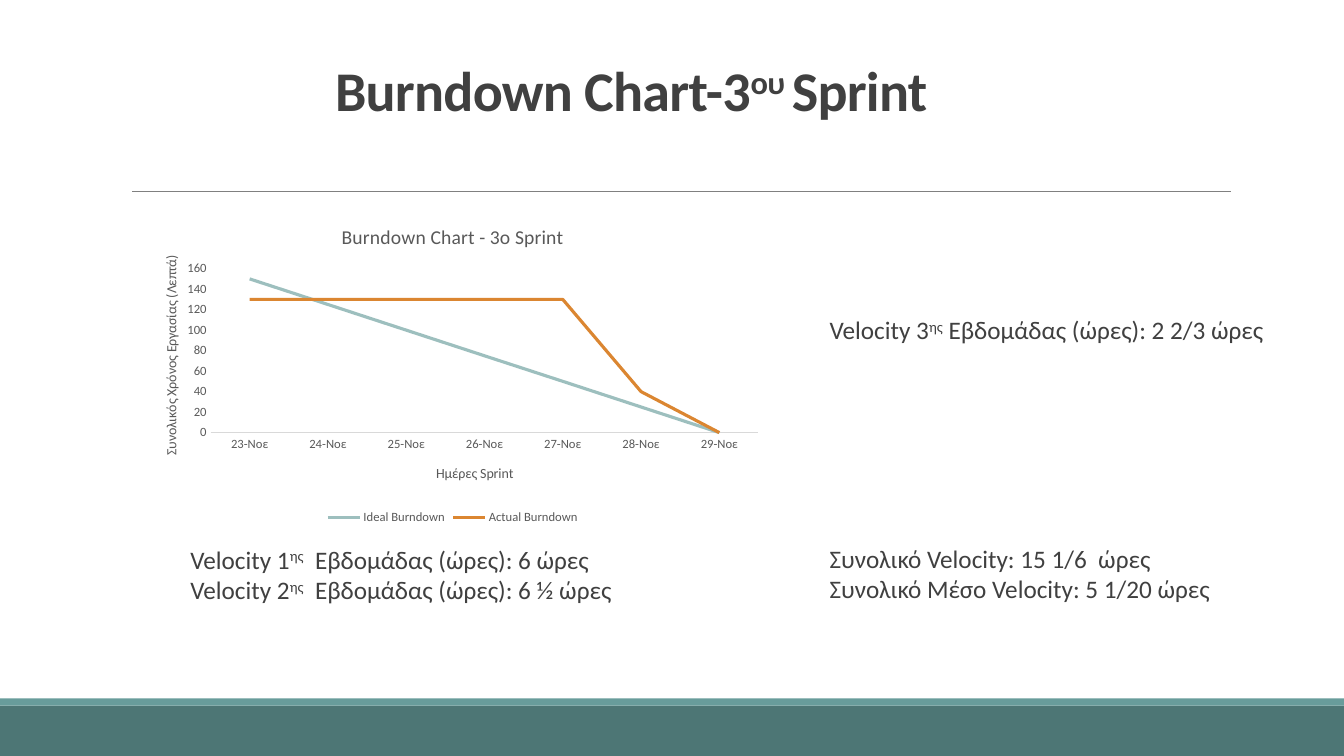
from lxml import etree
from pptx import Presentation
from pptx.chart.data import CategoryChartData
from pptx.dml.color import RGBColor
from pptx.enum.chart import XL_CHART_TYPE, XL_LEGEND_POSITION, XL_TICK_MARK
from pptx.enum.shapes import MSO_CONNECTOR, MSO_SHAPE
from pptx.enum.text import MSO_ANCHOR, PP_ALIGN
from pptx.oxml import parse_xml
from pptx.oxml.ns import nsdecls, qn
from pptx.util import Inches, Pt

COLORS = {
    "text": "404040", "chart_text": "595959", "rule": "808080", "axis": "D9D9D9",
    "footer": "4D7675", "stripe": "689C9B", "ideal": "9DBFBE", "actual": "DB8631",
}
FONT = "Calibri"


def rgb(name):
    return RGBColor.from_string(COLORS[name])


def fill_paragraph(p, parts, size):
    """Write the parts as runs, every second one raised as a superscript."""
    p.font.name, p.font.size, p.font.color.rgb = FONT, Pt(size), rgb("text")
    for i, part in enumerate(parts):
        r = p.add_run()
        r.text = part
        if i % 2:
            r.font._element.set("baseline", "30000")


prs = Presentation()
prs.slide_width, prs.slide_height = Inches(13.33), Inches(7.5)
s = prs.slides.add_slide(prs.slide_layouts[5])

# Footer bands and the rule under the title
for top, height, color in [(7, 0.5, "footer"), (6.93, 0.07, "stripe")]:
    band = s.shapes.add_shape(MSO_SHAPE.RECTANGLE, 0, Inches(top), prs.slide_width, Inches(height))
    band.shadow.inherit = False
    band.fill.solid()
    band.fill.fore_color.rgb = rgb(color)
    band.line.fill.background()

rule = s.shapes.add_connector(
    MSO_CONNECTOR.STRAIGHT, Inches(1.31), Inches(1.9), Inches(12.21), Inches(1.9))
rule.line.color.rgb = rgb("rule")
rule.line.width = Pt(0.5)
etree.SubElement(rule._element.spPr, qn("a:effectLst"))

# Title
title = s.shapes.title
title.left, title.top, title.width, title.height = [Inches(v) for v in (0.76, 0.6, 11, 0.67)]
tf = title.text_frame
tf.vertical_anchor = MSO_ANCHOR.BOTTOM
p = tf.paragraphs[0]
p.alignment, p.line_spacing, p.font.bold = PP_ALIGN.CENTER, 0.85, True
fill_paragraph(p, ["Burndown Chart-3", "ου ", "Sprint"], 40)
for r in p.runs:
    r.font._element.set("spc", "-50")

# Burndown chart
data = CategoryChartData()
data.categories = [f"{day}-Νοε" for day in range(23, 30)]
data.add_series("Ideal Burndown", range(150, -1, -25))
data.add_series("Actual Burndown", [130] * 5 + [40, 0])
chart = s.shapes.add_chart(
    XL_CHART_TYPE.LINE, Inches(1.33), Inches(2.06), Inches(6.32), Inches(3.19), data).chart
chart.font.name, chart.font.size, chart.font.color.rgb = FONT, Pt(9), rgb("chart_text")
chart.has_legend = True
chart.legend.position = XL_LEGEND_POSITION.BOTTOM
chart.legend.include_in_layout = False

for series, color in zip(chart.plots[0].series, ["ideal", "actual"]):
    series.smooth = False
    series.format.line.color.rgb = rgb(color)
    series.format.line.width = Pt(2.25)

days, minutes = chart.category_axis, chart.value_axis
minutes.minimum_scale, minutes.maximum_scale, minutes.major_unit = 0, 160, 20
minutes.has_major_gridlines = False
for axis in (days, minutes):
    axis.major_tick_mark = axis.minor_tick_mark = XL_TICK_MARK.NONE
days.format.line.color.rgb = rgb("axis")
days.format.line.width = Pt(0.75)
minutes.format.line.fill.background()

for owner, name, size in [
    (chart, "Burndown Chart - 3ο Sprint", 14),
    (days, "Ημέρες Sprint", 10),
    (minutes, "Συνολικός Χρόνος Εργασίας (Λεπτά)", 10),
]:
    owner.has_title = True
    heading = owner.chart_title if owner is chart else owner.axis_title
    p = heading.text_frame.paragraphs[0]
    p.text = name
    p.font.name, p.font.size, p.font.bold = FONT, Pt(size), False
    p.font.color.rgb = rgb("chart_text")

# Fixed places in the chart, as fractions of its size
plot_area = chart._chartSpace.chart.plotArea
for element, index, places in [
    (plot_area, 0, {"x": 0.12, "y": 0.19, "w": 0.86, "h": 0.51}),
    (days.axis_title._element, 1, {"x": 0.47, "y": 0.79}),
    (minutes.axis_title._element, 1, {"x": 0.04, "y": 0.14}),
]:
    for old in element.findall(qn("c:layout")):
        element.remove(old)
    target = '<c:layoutTarget val="inner"/>' if element is plot_area else ""
    modes = "".join(f'<c:{k}Mode val="edge"/>' for k in "xy")
    values = "".join(f'<c:{k} val="{v}"/>' for k, v in places.items())
    element.insert(index, parse_xml(
        f'<c:layout {nsdecls("c")}><c:manualLayout>{target}{modes}{values}'
        "</c:manualLayout></c:layout>"))

# Velocity notes
for left, top, width, lines in [
    (8.13, 3.07, 4.74, [["Velocity 3", "ης", " Εβδομάδας (ώρες): 2 2/3 ώρες"]]),
    (1.79, 5.35, 4.47, [["Velocity 1", "ης", "  Εβδομάδας (ώρες): 6 ώρες"],
                        ["Velocity 2", "ης", "  Εβδομάδας (ώρες): 6 ½ ώρες"]]),
    (8.13, 5.34, 4.3, [["Συνολικό Velocity: 15 1/6  ώρες"],
                       ["Συνολικό Μέσο Velocity: 5 1/20 ώρες"]]),
]:
    tf = s.shapes.add_textbox(Inches(left), Inches(top), Inches(width), Inches(0.71)).text_frame
    tf.word_wrap = True
    for i, parts in enumerate(lines):
        p = tf.add_paragraph() if i else tf.paragraphs[0]
        fill_paragraph(p, parts, 18)

prs.save("out.pptx")
